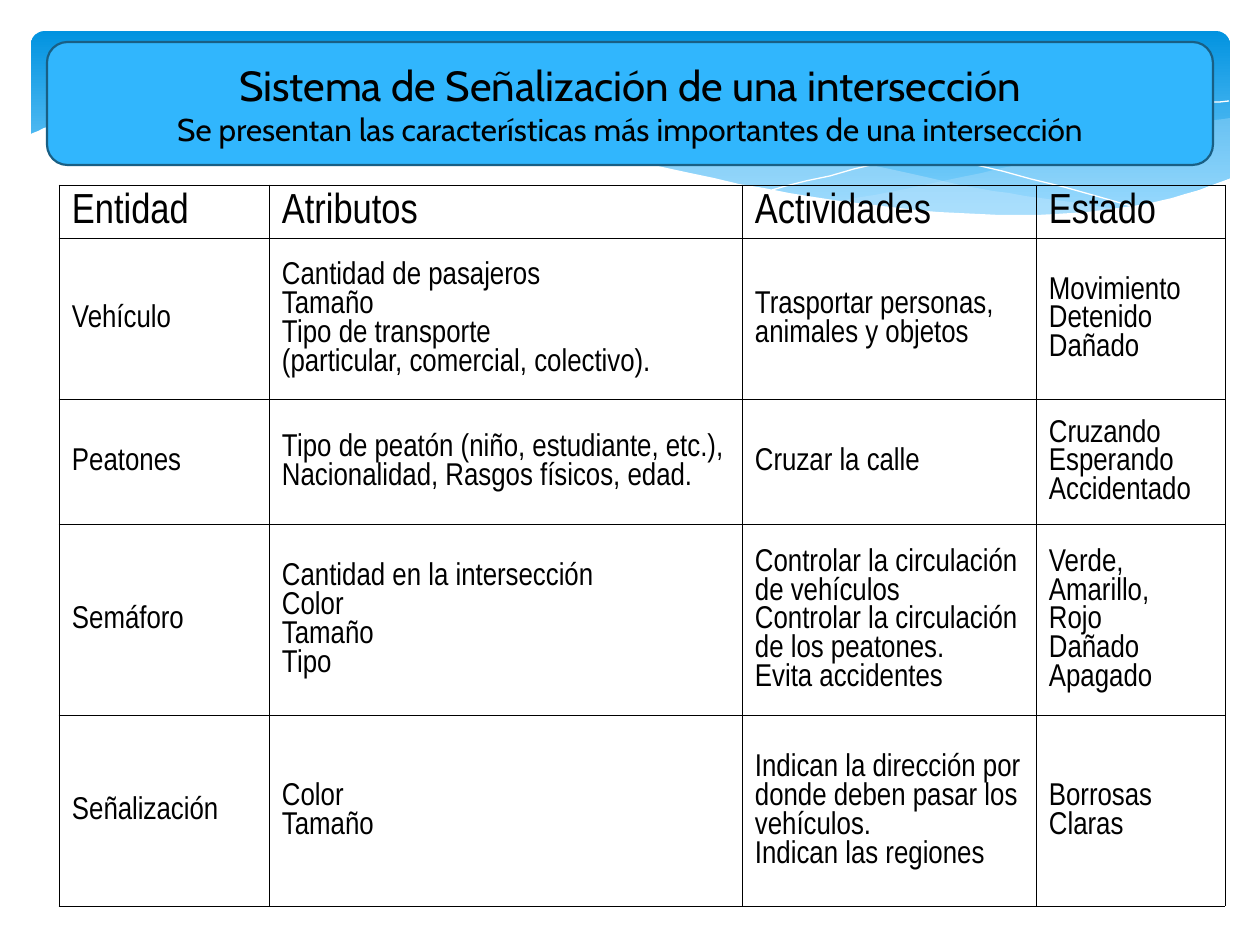
from lxml import etree
from pptx import Presentation
from pptx import util as u
from pptx.dml.color import RGBColor
from pptx.enum import shapes, text
from pptx.oxml.ns import qn

PX = u.Inches(1) / 126

BLACK, WHITE, PALE = "000000", "FFFFFF", "C6E7FC"

# Wave outlines: points in px that a smooth curve passes through
RIGHT_WAVE_TOP = [(1230, 118), (1178, 127), (1085, 149), (982, 173), (890, 192), (833, 202)]
RIGHT_WAVE_BOTTOM = [(833, 202), (888, 208), (954, 214), (1026, 217), (1099, 213),
                     (1169, 199), (1230, 178)]
LEFT_WAVE_TOP = [(1125, 210), (1055, 200), (977, 188), (890, 169), (793, 146), (699, 126),
                 (616, 112), (529, 103), (455, 101), (394, 103), (360, 108)]
LEFT_WAVE_BOTTOM = [(360, 108), (431, 118), (509, 134), (619, 159), (713, 180), (819, 199),
                    (910, 212), (1003, 218), (1080, 215), (1125, 210)]
FALLING_LINE = [(389, 113), (433, 106), (505, 103), (591, 105), (672, 111), (766, 123),
                (876, 144), (1002, 171), (1143, 209)]
RISING_LINE = [(772, 190), (876, 164), (978, 140), (1091, 117), (1164, 106), (1229, 101)]
WHITE_WAVE_TOP = [(1231, 178), (1172, 198), (1103, 210), (1019, 215), (915, 210), (789, 193),
                  (667, 168), (563, 144), (460, 121), (368, 107), (290, 100), (223, 98),
                  (150, 103), (96, 112), (58, 123), (29, 135)]

COLUMN_WIDTHS = [210, 473, 294, 189]
ROW_HEIGHTS = [53, 161, 125, 191, 191]
ROWS = [
    ["Entidad", "Atributos", "Actividades", "Estado"],
    ["Vehículo",
     "Cantidad de pasajeros\nTamaño\nTipo de transporte\n(particular, comercial, colectivo).",
     "Trasportar personas, animales y objetos",
     "Movimiento\nDetenido\nDañado"],
    ["Peatones",
     "Tipo de peatón (niño, estudiante, etc.), Nacionalidad, Rasgos físicos, edad.",
     "Cruzar la calle",
     "Cruzando\nEsperando\nAccidentado"],
    ["Semáforo",
     "Cantidad en la intersección\nColor\nTamaño\nTipo",
     "Controlar la circulación de vehículos\nControlar la circulación de los peatones.\n"
     "Evita accidentes",
     "Verde,\nAmarillo,\nRojo\nDañado\nApagado"],
    ["Señalización",
     "Color\nTamaño",
     "Indican la dirección por donde deben pasar los vehículos.\nIndican las regiones",
     "Borrosas\nClaras"],
]


def px(*lengths):
    return [u.Emu(round(length * PX)) for length in lengths]


def color(value):
    return RGBColor.from_string(value)


def smooth(points, steps=5):
    """Catmull-Rom curve through the points."""
    padded = [points[0], *points, points[-1]]
    curve = [points[0]]
    for a, b, c, d in zip(padded, padded[1:], padded[2:], padded[3:]):
        for step in range(1, steps + 1):
            t = step / steps
            curve.append(tuple(
                0.5 * (2 * q + (r - p) * t + (2 * p - 5 * q + 4 * r - s) * t ** 2
                       + (3 * q - p - 3 * r + s) * t ** 3)
                for p, q, r, s in zip(a, b, c, d)))
    return curve


class SlideBuilder:
    def __init__(self, slide):
        self.slide = slide
        self.title_font, self.table_font = "Cabin", "Arial Narrow"
        self.large, self.small = u.Pt(24), u.Pt(18)

    def shape(self, kind, box):
        shape = self.slide.shapes.add_shape(kind, *px(*box))
        shape.shadow.inherit = False
        return shape

    def backdrop(self, box, stops):
        shape = self.shape(shapes.MSO_SHAPE.ROUNDED_RECTANGLE, box)
        shape.adjustments[0] = 0.07
        shape.fill.gradient()
        shape.fill.gradient_angle = 270
        for stop, (position, value) in zip(shape.fill.gradient_stops, stops):
            stop.position = position
            stop.color.rgb = color(value)
        shape.line.fill.background()

    def freeform(self, points, fill=None, opacity=100, line=None):
        builder = self.slide.shapes.build_freeform(*points[0], scale=PX)
        builder.add_line_segments(points[1:], close=fill is not None)
        shape = builder.convert_to_shape()
        shape.shadow.inherit = False
        if fill:
            shape.fill.solid()
            shape.fill.fore_color.rgb = color(fill)
            if opacity < 100:
                rgb = shape.element.spPr.find(".//" + qn("a:srgbClr"))
                etree.SubElement(rgb, qn("a:alpha"), val=str(opacity * 1000))
        else:
            shape.fill.background()
        if line:
            shape.line.color.rgb = color(line)
            shape.line.width = 0
        else:
            shape.line.fill.background()

    def paragraph(self, paragraph, font, size):
        paragraph.font.name = font
        paragraph.font.size = size
        paragraph.font.color.rgb = color(BLACK)

    def banner(self, box, fill, line):
        shape = self.shape(shapes.MSO_SHAPE.FLOWCHART_ALTERNATE_PROCESS, box)
        shape.fill.solid()
        shape.fill.fore_color.rgb = color(fill)
        shape.line.color.rgb = color(line)
        shape.line.width = u.Pt(1.25)

    def title(self, box, heading, subtitle):
        title = self.slide.shapes.title
        title.left, title.top, title.width, title.height = px(*box)
        frame = title.text_frame
        frame.text = f"{heading}\n{subtitle}"
        frame.word_wrap = True
        frame.auto_size = text.MSO_AUTO_SIZE.NONE
        frame.vertical_anchor = text.MSO_ANCHOR.MIDDLE
        for paragraph, size in zip(frame.paragraphs, (self.large, self.small)):
            paragraph.alignment = text.PP_ALIGN.CENTER
            self.paragraph(paragraph, self.title_font, size)
        # Bring the title in front of the banner
        self.slide.shapes.element.append(title.element)

    def borders(self, cell):
        properties = cell._tc.get_or_add_tcPr()
        for index, side in enumerate(("lnL", "lnR", "lnT", "lnB")):
            border = etree.Element(qn(f"a:{side}"), w=str(u.Pt(0.45)))
            fill = etree.SubElement(border, qn("a:solidFill"))
            etree.SubElement(fill, qn("a:srgbClr"), val=BLACK)
            properties.insert(index, border)

    def cell(self, cell, content, is_header):
        cell.text = content
        cell.fill.background()
        cell.margin_left, cell.margin_top, cell.margin_right, cell.margin_bottom = px(13, 8, 13, 6)
        cell.vertical_anchor = text.MSO_ANCHOR.TOP if is_header else text.MSO_ANCHOR.MIDDLE
        for paragraph in cell.text_frame.paragraphs:
            paragraph.line_spacing = 0.97
            self.paragraph(paragraph, self.table_font, self.large if is_header else self.small)
        self.borders(cell)

    def table(self, left, top, widths, heights, rows):
        box = px(left, top, sum(widths), sum(heights))
        table = self.slide.shapes.add_table(len(rows), len(widths), *box).table
        table.first_row = table.horz_banding = False
        for column, width in zip(table.columns, px(*widths)):
            column.width = width
        for row, height in zip(table.rows, px(*heights)):
            row.height = height
        for row_index, row in enumerate(rows):
            for column_index, content in enumerate(row):
                self.cell(table.cell(row_index, column_index), content, row_index == 0)


def main():
    presentation = Presentation()
    presentation.slide_width, presentation.slide_height = px(1260, 945)
    slide = presentation.slides.add_slide(presentation.slide_layouts[5])
    builder = SlideBuilder(slide)

    # Blue backdrop with waves
    builder.backdrop((31, 31, 1199, 197), [(0, "0293E0"), (0.9, "83D3FE")])
    builder.freeform(smooth(RIGHT_WAVE_TOP) + smooth(RIGHT_WAVE_BOTTOM), PALE, 29)
    builder.freeform(smooth(LEFT_WAVE_TOP) + smooth(LEFT_WAVE_BOTTOM), PALE, 40)
    for points in (FALLING_LINE, RISING_LINE):
        builder.freeform(smooth(points), line=WHITE)
    builder.freeform(smooth(WHITE_WAVE_TOP) + [(29, 282), (1231, 282)], WHITE)

    # Entities table
    builder.table(59, 185, COLUMN_WIDTHS, ROW_HEIGHTS, ROWS)

    # Title on its banner
    banner_box = (47, 42, 1166, 123)
    builder.banner(banner_box, "31B6FD", "195F84")
    builder.title(banner_box, "Sistema de Señalización de una intersección",
                  "Se presentan las características más importantes de una intersección")

    presentation.save("out.pptx")


if __name__ == "__main__":
    main()
